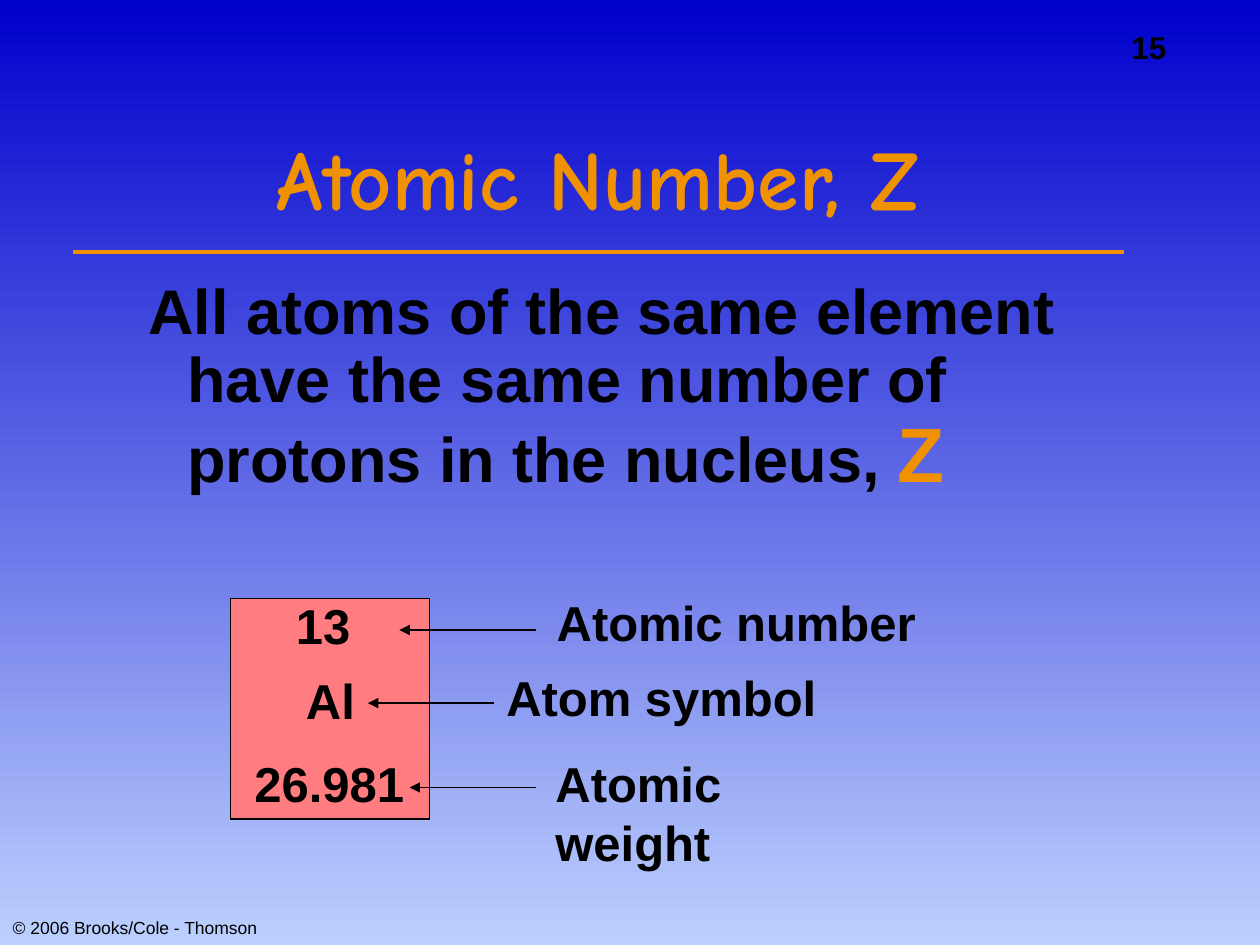
import pptx
import pptx.util
import pptx.dml.color
import pptx.enum.shapes
import pptx.enum.text
import pptx.oxml
import pptx.oxml.ns

RGB = pptx.dml.color.RGBColor
ORANGE, BLACK, PINK = RGB(0xEF, 0x91, 0x00), RGB(0, 0, 0), RGB(0xFF, 0x7C, 0x80)
SKY_TOP, SKY_BOTTOM = RGB(0, 0, 0xCC), RGB(0xBC, 0xD0, 0xFE)
ALIGN = pptx.enum.text.PP_ALIGN
ANCHOR = pptx.enum.text.MSO_ANCHOR
AUTO = pptx.enum.text.MSO_AUTO_SIZE
inch = pptx.util.Inches

# Content
TITLE = "Atomic Number, Z"
STATEMENT = "All atoms of the same element have the same number of protons in the nucleus, "
SYMBOL = "Z"
PAGE = "15"
COPYRIGHT = "© 2006 Brooks/Cole - Thomson"
CARD = (1.83, 4.75, 1.58, 1.75)
LABEL_H = 0.57
# Each row: value (text, left, top, width), label (same), arrow (from x, to x, y)
ROWS = [
    (("13", 2.25, 4.68, 0.63), ("Atomic number", 4.32, 4.65, 3.05), (4.25, 3.17, 5)),
    (("Al", 2.33, 5.27, 0.59), ("Atom symbol", 3.92, 5.25, 2.66), (3.92, 2.92, 5.58)),
    (("26.981", 1.92, 5.93, 1.39), ("Atomic weight", 4.31, 5.93, 2.85), (4.25, 3.25, 6.25)),
]

prs = pptx.Presentation()
prs.slide_width, prs.slide_height = inch(10), inch(7.5)
s = prs.slides.add_slide(prs.slide_layouts[5])


def add_run(p, text, size, color=BLACK, font="Arial", bold=True):
    r = p.add_run()
    r.text = text
    r.font.name, r.font.size, r.font.bold = font, pptx.util.Pt(size), bold
    r.font.color.rgb = color


def add_text(text, box, sp=None, size=28, align=ALIGN.LEFT, anchor=ANCHOR.TOP,
             wrap=False, spacing=None, **font):
    sp = sp or s.shapes.add_textbox(0, 0, 0, 0)
    sp.left, sp.top, sp.width, sp.height = map(inch, box)
    tf = sp.text_frame
    tf.word_wrap, tf.vertical_anchor = wrap, anchor
    tf.auto_size = AUTO.NONE if wrap else AUTO.SHAPE_TO_FIT_TEXT
    p = tf.paragraphs[0]
    p.alignment = align
    if spacing:
        p.line_spacing = spacing
    add_run(p, text, size, **font)
    return p


def add_line(x1, y1, x2, y2, color=BLACK, width=1, arrow=False):
    line = s.shapes.add_connector(pptx.enum.shapes.MSO_CONNECTOR.STRAIGHT,
                                  *map(inch, (x1, y1, x2, y2)))
    line.line.color.rgb, line.line.width = color, pptx.util.Pt(width)
    if arrow:
        ln = line.line._get_or_add_ln()
        ln.append(pptx.oxml.parse_xml(
            f'<a:tailEnd {pptx.oxml.ns.nsdecls("a")} type="triangle"/>'))
    line._element.spPr.append(pptx.oxml.parse_xml(
        f'<a:effectLst {pptx.oxml.ns.nsdecls("a")}/>'))


# Background, top to bottom
fill = s.background.fill
fill.gradient()
fill.gradient_angle = 270
for stop, color, position in zip(fill.gradient_stops, (SKY_TOP, SKY_BOTTOM), (0, 1)):
    stop.color.rgb, stop.position = color, position

# Page number and copyright
add_text(PAGE, (8.88, 0.17, 1.41, 0.4), size=18)
add_text(COPYRIGHT, (0, 7.23, 2.14, 0.27), size=10, bold=False, align=ALIGN.CENTER)

# Title, statement and rule
add_text(TITLE, (0.83, 0.83, 7.83, 1.25), sp=s.shapes.title, size=48, color=ORANGE,
         font="Comic Neue", align=ALIGN.CENTER, anchor=ANCHOR.MIDDLE, wrap=True, spacing=0.9)
p = add_text(STATEMENT, (1.08, 2.17, 7.83, 1.92), size=36, wrap=True, spacing=0.9)
add_run(p, SYMBOL, 44, color=ORANGE)
pPr = p._p.get_or_add_pPr()
pPr.set("marL", str(inch(0.31)))
pPr.set("indent", str(-inch(0.31)))
add_line(0.58, 2, 8.92, 2, color=ORANGE, width=2.25)

# Element card
card = s.shapes.add_shape(pptx.enum.shapes.MSO_SHAPE.RECTANGLE, *map(inch, CARD))
card.shadow.inherit = False
card.fill.solid()
card.fill.fore_color.rgb = PINK
card.line.color.rgb, card.line.width = BLACK, pptx.util.Pt(1)

# Values, arrows and labels
for value, label, (x1, x2, y) in ROWS:
    for text, *place in (value, label):
        add_text(text, (*place, LABEL_H))
    add_line(x1, y, x2, y, arrow=True)

prs.save("out.pptx")
